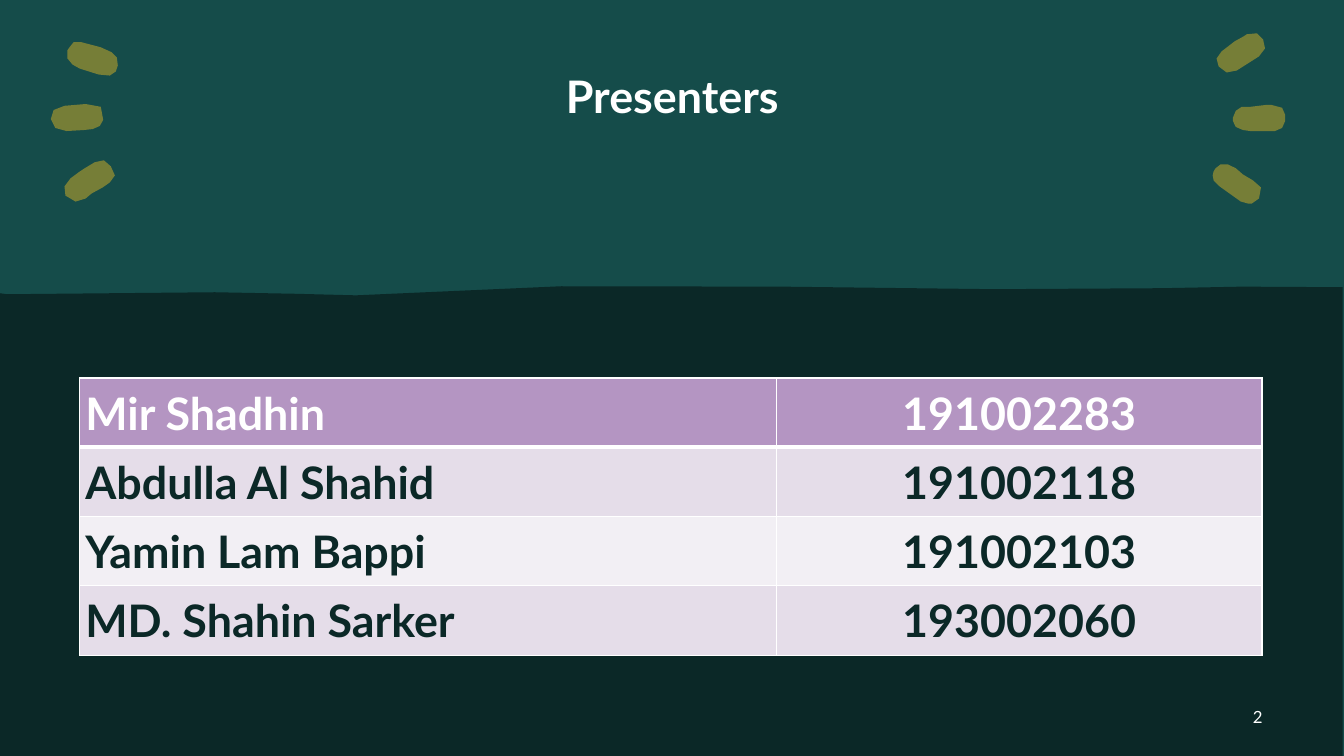
from lxml import etree
from pptx import Presentation
from pptx.dml.color import RGBColor
from pptx.enum.shapes import MSO_SHAPE
from pptx.enum.text import MSO_ANCHOR, MSO_AUTO_SIZE, PP_ALIGN
from pptx.oxml.ns import qn
from pptx.util import Pt

RECTANGLE = MSO_SHAPE.RECTANGLE
TOP, MIDDLE = MSO_ANCHOR.TOP, MSO_ANCHOR.MIDDLE
LEFT, CENTER, RIGHT = PP_ALIGN.LEFT, PP_ALIGN.CENTER, PP_ALIGN.RIGHT
NO_AUTOFIT = MSO_AUTO_SIZE.NONE

SLIDE_W, SLIDE_H = 960, 540
TITLE_ONLY = 5
FONT = "Lato"
TEAL, DARK, OLIVE, WHITE = "154C4A", "0B2827", "767E37", "FFFFFF"
HEADER_FILL, BAND_FILLS = "B495C2", ("F2EFF4", "E5DDE9")

PRESENTERS = [
    ("Mir Shadhin", "191002283"),
    ("Abdulla Al Shahid", "191002118"),
    ("Yamin Lam Bappi", "191002103"),
    ("MD. Shahin Sarker", "193002060"),
]

# Outlines are points measured from the corner of the region they belong to.
LEFT_DASHES = [
    [(22.3, 2.2), (16.6, 2.2), (13.7, 5.8), (12.2, 8), (12.2, 13.8), (15.8, 18.1), (20.9, 21),
     (34.6, 25.3), (42.5, 26), (46.8, 23.1), (48.2, 18.8), (47.5, 13), (43.9, 9.4), (36, 5.8)],
    [(30.2, 64.2), (23.8, 64.9), (11.5, 65.6), (3.5, 63.4), (0.3, 57), (2.3, 50.6),
     (10.1, 47.6), (25.2, 46.3), (36, 48.3), (37.7, 57.6), (35.3, 62)],
    [(42.5, 102.3), (37.4, 105.9), (29.5, 110.2), (25.2, 113.8), (18, 116), (10.8, 111.7),
     (10.1, 105.2), (14.4, 99.4), (20.2, 95.1), (24.5, 92.2), (31.7, 87.9), (38.2, 86.5),
     (43.2, 90.8), (46.1, 97.3)],
]
RIGHT_DASHES = [
    [(8.6, 16.7), (18, 9.5), (24.5, 5.9), (26.6, 4.5), (33.8, 3.8), (38.2, 8.1),
     (39.6, 14.6), (35.3, 20.3), (19.4, 30.4), (12.2, 31.8), (6.5, 27.5), (5, 21.8)],
    [(46.8, 73.6), (38.9, 73.6), (28.8, 73.6), (23.8, 72.9), (18.7, 70.7), (16.6, 66.4),
     (16.6, 64.2), (18.7, 59.2), (23, 56.3), (29.5, 56.3), (41, 54.9), (43.9, 54.9),
     (51.8, 57), (54, 62.1), (54, 66.4), (51.8, 71.4)],
    [(2.9, 108.9), (2.2, 105.3), (2.9, 102.4), (4.3, 100.2), (7.9, 97.4), (13, 97.4),
     (18.7, 100.2), (23.8, 104.6), (31, 108.9), (36.7, 113.9), (35.3, 121.8),
     (30.2, 125.4), (27.4, 125.4), (22.3, 124), (7.2, 113.2)],
]
HORIZON = [(0, 6.5), (5, 7.2), (153.4, 5.8), (211.7, 6.9), (254.2, 8), (401, 1.5),
           (558.7, 1.8), (710.6, 3.6), (830.2, 2.9), (887, 1.8), (959, 2.2)]


def color(hex_code):
    return RGBColor.from_string(hex_code)


def paint(shape, fill):
    shape.shadow.inherit = False
    shape.fill.solid()
    shape.fill.fore_color.rgb = color(fill)
    shape.line.fill.background()


def write(frame, text, size=32, ink=WHITE, bold=True, align=LEFT, line_spacing=1.0, tracking=0):
    """Put one formatted paragraph in a text frame; tracking is in points."""
    paragraph = frame.paragraphs[0]
    paragraph.alignment = align
    paragraph.line_spacing = line_spacing
    run = paragraph.add_run()
    run.text = text
    run.font.name, run.font.size, run.font.bold = FONT, Pt(size), bold
    run.font.color.rgb = color(ink)
    if tracking:
        run.font._element.set("spc", str(round(tracking * 100)))


def set_frame(frame, anchor, vertical_inset=0):
    frame.word_wrap = True
    frame.auto_size = NO_AUTOFIT
    frame.vertical_anchor = anchor
    frame.margin_left = frame.margin_right = 0
    frame.margin_top = frame.margin_bottom = Pt(vertical_inset)


def add_outline(slide, left, top, points, fill):
    placed = [(Pt(left + x), Pt(top + y)) for x, y in points]
    builder = slide.shapes.build_freeform(*placed[0], scale=1.0)
    builder.add_line_segments(placed[1:], close=True)
    paint(builder.convert_to_shape(), fill)


def add_dashes(slide, left, top, dashes):
    for dash in dashes:
        add_outline(slide, left, top, dash, OLIVE)


def add_backdrop(slide, width, height):
    slide.background.fill.solid()
    slide.background.fill.fore_color.rgb = color(DARK)
    wall = slide.shapes.add_shape(RECTANGLE, 0, 0, Pt(width), Pt(height))
    paint(wall, TEAL)
    add_dashes(slide, 36, 28, LEFT_DASHES)
    add_dashes(slide, width - 96, 20, RIGHT_DASHES)
    ground_top = 203
    base = height - ground_top
    add_outline(slide, 0, ground_top, HORIZON + [(width - 1, base), (0, base)], DARK)


def add_title(slide, left, top, width, height, text):
    """Fill the title placeholder and bring it in front of the backdrop."""
    title = slide.shapes.title
    title.left, title.top, title.width, title.height = map(Pt, (left, top, width, height))
    set_frame(title.text_frame, TOP)
    write(title.text_frame, text, align=CENTER)
    slide.shapes._spTree.append(title._element)


def add_borders(cell, **widths):
    """Draw white cell borders; the keywords L, R, T and B give widths in points."""
    properties = cell._tc.get_or_add_tcPr()
    for side, width in widths.items():
        line = etree.SubElement(properties, qn(f"a:ln{side}"), w=str(Pt(width)))
        solid = etree.SubElement(line, qn("a:solidFill"))
        etree.SubElement(solid, qn("a:srgbClr"), val=WHITE)


def add_presenters(slide, left, top, column_widths, row_height, rows):
    table = slide.shapes.add_table(
        len(rows), len(column_widths), Pt(left), Pt(top),
        Pt(sum(column_widths)), Pt(row_height * len(rows))).table
    for column, width in zip(table.columns, column_widths):
        column.width = Pt(width)
    for r, values in enumerate(rows):
        table.rows[r].height = Pt(row_height)
        for c, (value, align) in enumerate(zip(values, (LEFT, CENTER))):
            cell = table.cell(r, c)
            cell.vertical_anchor = MIDDLE
            cell.margin_left = cell.margin_right = Pt(4)
            cell.margin_top = cell.margin_bottom = Pt(3)
            add_borders(cell, L=1, R=1, T=3 if r == 1 else 1, B=3 if r == 0 else 1)
            cell.fill.solid()
            cell.fill.fore_color.rgb = color(BAND_FILLS[r % 2] if r else HEADER_FILL)
            write(cell.text_frame, value, ink=DARK if r else WHITE, align=align)


def add_page_number(slide, left, top, width, height, number):
    box = slide.shapes.add_textbox(Pt(left), Pt(top), Pt(width), Pt(height))
    set_frame(box.text_frame, MIDDLE, vertical_inset=14.4)
    write(box.text_frame, number, size=12, bold=False, align=RIGHT,
          line_spacing=1.2, tracking=0.2)


def main():
    deck = Presentation()
    deck.slide_width, deck.slide_height = Pt(SLIDE_W), Pt(SLIDE_H)
    slide = deck.slides.add_slide(deck.slide_layouts[TITLE_ONLY])
    add_backdrop(slide, SLIDE_W, SLIDE_H)
    add_title(slide, 132.5, 49, 695.5, 54, "Presenters")
    add_presenters(slide, 57, 270, (497.5, 347), 49.5, PRESENTERS)
    add_page_number(slide, 808.5, 482, 93.5, 57, "2")
    deck.save("out.pptx")


if __name__ == "__main__":
    main()
